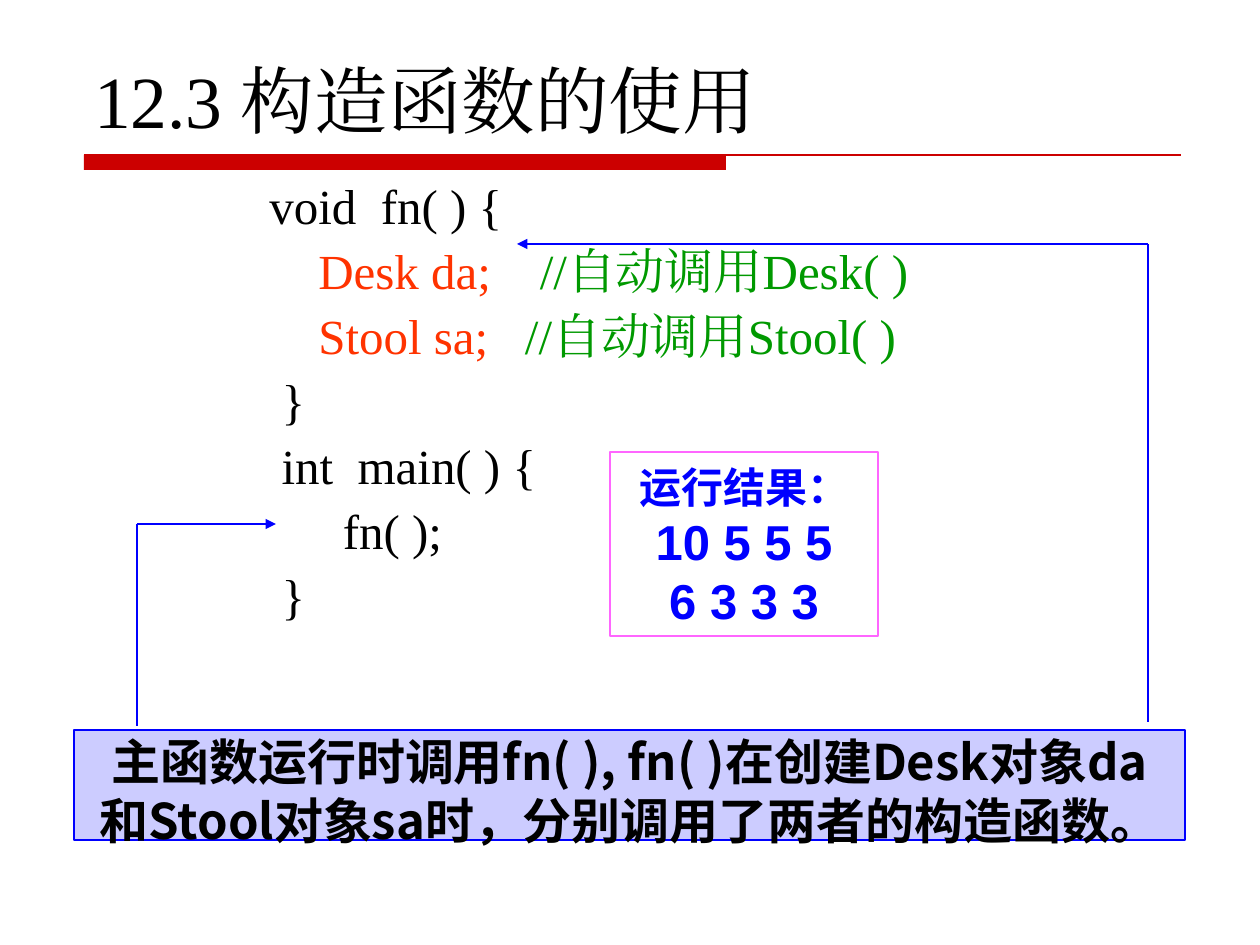
from dataclasses import dataclass, field
from lxml.etree import SubElement
from pptx import Presentation
from pptx.dml.color import RGBColor
from pptx.enum.shapes import MSO_CONNECTOR, MSO_SHAPE
from pptx.enum.text import MSO_ANCHOR, PP_ALIGN
from pptx.oxml.ns import qn
from pptx.util import Emu, Pt

UNIT = 914400 / 126
BLACK, BLUE, RED = "000000", "0000FF", "CC0000"
ORANGE, GREEN = "FF3300", "009900"
ROMAN, ARIAL, SANS = "Times New Roman", "Arial", "Noto Sans CJK SC"


@dataclass
class Run:
    text: str
    color: str = BLACK
    size: int = 28


@dataclass
class Block:
    at: tuple[int, int, int, int]
    rows: list[list[Run]]
    font: str
    bold: bool = False
    fill: str | None = None
    edge: tuple[str, float] | None = None
    frame: dict = field(default_factory=dict)
    para: dict = field(default_factory=dict)
    gap: float = 0


@dataclass
class Wire:
    ends: tuple[int, int, int, int]
    color: str = BLUE
    width: float = 1
    arrow: bool = False


def px(n: float) -> Emu:
    return Emu(round(n * UNIT))


def rgb(code: str) -> RGBColor:
    return RGBColor.from_string(code)


def apply(item, values: dict) -> None:
    for name, value in values.items():
        setattr(item, name, value)


def write(shape, block: Block) -> None:
    frame = shape.text_frame
    apply(frame, {"margin_left": px(13), "margin_right": px(13),
                  "margin_top": px(6), "margin_bottom": px(6),
                  "word_wrap": False, **block.frame})
    for i, row in enumerate(block.rows):
        para = frame.add_paragraph() if i else frame.paragraphs[0]
        apply(para, block.para)
        if i and block.gap:
            para.space_before = Pt(block.gap)
        for part in row:
            run = para.add_run()
            run.text = part.text
            apply(run.font, {"name": block.font, "size": Pt(part.size),
                             "bold": block.bold})
            run.font.color.rgb = rgb(part.color)
            SubElement(run.font._element, qn("a:ea"), typeface=block.font)


def draw_block(slide, block: Block) -> None:
    place = [px(n) for n in block.at]
    if block.fill or block.edge:
        shape = slide.shapes.add_shape(MSO_SHAPE.RECTANGLE, *place)
        shape.shadow.inherit = False
        if block.fill:
            shape.fill.solid()
            shape.fill.fore_color.rgb = rgb(block.fill)
        else:
            shape.fill.background()
        if block.edge:
            color, width = block.edge
            shape.line.color.rgb = rgb(color)
            shape.line.width = Pt(width)
        else:
            shape.line.fill.background()
    else:
        shape = slide.shapes.add_textbox(*place)
    if block.rows:
        write(shape, block)


def draw_wire(slide, wire: Wire) -> None:
    line = slide.shapes.add_connector(
        MSO_CONNECTOR.STRAIGHT, *[px(n) for n in wire.ends])
    line.line.color.rgb = rgb(wire.color)
    line.line.width = Pt(wire.width)
    if wire.arrow:
        SubElement(line.line._get_or_add_ln(), qn("a:tailEnd"), type="triangle")
    SubElement(line._element.spPr, qn("a:effectLst"))


LEAD = {"line_spacing": Pt(33.7)}
MID = {"vertical_anchor": MSO_ANCHOR.MIDDLE}
CENTER = {"alignment": PP_ALIGN.CENTER, **LEAD}

BAR = Block((84, 155, 642, 15), [], ROMAN, fill=RED)
TITLE = Block((0, 26, 1002, 147), [[Run("12.3 构造函数的使用", size=42)]], ROMAN,
              frame={**MID, "margin_left": px(94), "word_wrap": True})
CODE = Block((144, 169, 1040, 462), [
    [Run("      void  fn( ) {")],
    [Run("          Desk da;    ", ORANGE), Run("//自动调用Desk( )", GREEN)],
    [Run("          Stool sa;   ", ORANGE), Run("//自动调用Stool( )", GREEN)],
    [Run("       }")],
    [Run("       int  main( ) {")],
    [Run("            fn( );")],
    [Run("       }")],
], ROMAN, frame={"margin_left": px(52), "word_wrap": True}, para=LEAD, gap=3.5)
NOTE = Block((74, 730, 1111, 110), [
    [Run("主函数运行时调用fn( ), fn( )在创建Desk对象da")],
    [Run("和Stool对象sa时，分别调用了两者的构造函数。")],
], SANS, True, "CCCCFF", (BLUE, 1), {**MID, "margin_top": px(17)}, CENTER)
RESULT = Block((610, 452, 268, 184), [
    [Run("运行结果：", BLUE, 24)],
    [Run("10 5 5 5", BLUE)],
    [Run("6 3 3 3", BLUE)],
], ARIAL, True, None, ("FF66FF", 0.75), {**MID, "margin_bottom": px(12)}, CENTER)

WIRES = [
    Wire((84, 155, 1181, 155), RED, 0.75),
    Wire((137, 726, 137, 524)),
    Wire((137, 524, 276, 524), arrow=True),
    Wire((1148, 722, 1148, 244)),
    Wire((1148, 244, 517, 244), arrow=True),
]


def main() -> None:
    deck = Presentation()
    deck.slide_width, deck.slide_height = px(1260), px(945)
    slide = deck.slides.add_slide(deck.slide_layouts[6])
    # Heading rule, code and note
    for block in (BAR, CODE, NOTE):
        draw_block(slide, block)
    # Rule and call arrows
    for wire in WIRES:
        draw_wire(slide, wire)
    # Title and program output
    for block in (TITLE, RESULT):
        draw_block(slide, block)
    deck.save("out.pptx")


if __name__ == "__main__":
    main()
